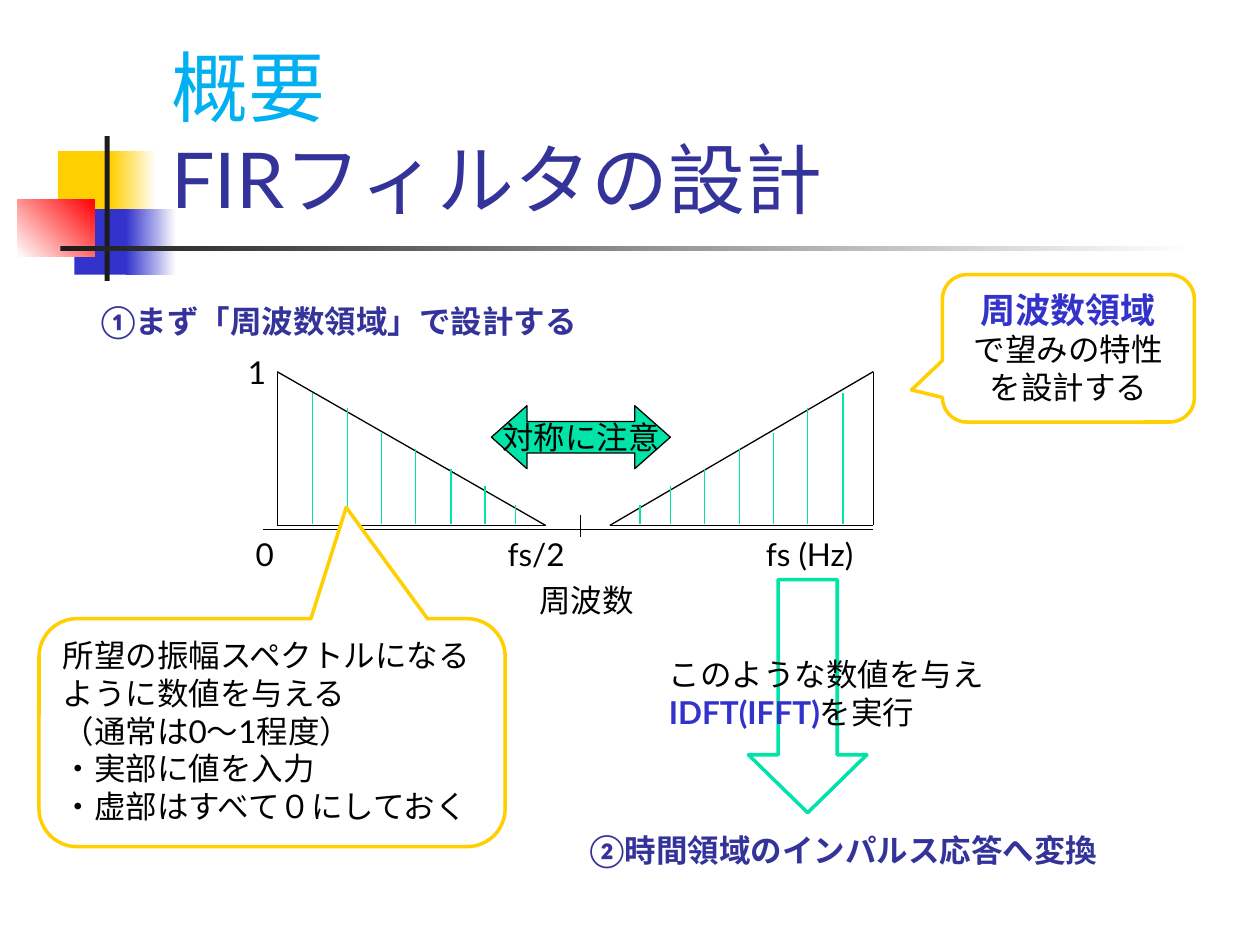
from dataclasses import dataclass

from lxml import etree
from pptx import Presentation
from pptx.dml.color import RGBColor
from pptx.enum.shapes import MSO_CONNECTOR, MSO_SHAPE
from pptx.enum.text import MSO_ANCHOR, PP_ALIGN
from pptx.oxml.ns import qn
from pptx.util import Inches, Pt

RECT = MSO_SHAPE.RECTANGLE
CALLOUT = MSO_SHAPE.ROUNDED_RECTANGULAR_CALLOUT
DOWN_ARROW = MSO_SHAPE.DOWN_ARROW
DOUBLE_ARROW = MSO_SHAPE.LEFT_RIGHT_ARROW
STRAIGHT = MSO_CONNECTOR.STRAIGHT
LEFT, CENTER = PP_ALIGN.LEFT, PP_ALIGN.CENTER
TOP, MIDDLE, BOTTOM = MSO_ANCHOR.TOP, MSO_ANCHOR.MIDDLE, MSO_ANCHOR.BOTTOM


@dataclass(frozen=True)
class Theme:
    font: str = "Lato"
    title: int = 44
    lead: int = 20
    body: int = 18
    thin: float = 0.75
    thick: float = 2
    black: str = "000000"
    white: str = "FFFFFF"
    bar: str = "1C1C1C"
    sky: str = "00B0F0"
    navy: str = "333399"
    blue: str = "3333CC"
    yellow: str = "FFCF01"
    red: str = "FF0000"
    green: str = "00E4A8"


THEME = Theme()

# Distance of each sample from the outer edge, and its top below the peak
SAMPLES = [(0.28, 0.17), (0.56, 0.29), (0.83, 0.49), (1.1, 0.61),
           (1.38, 0.77), (1.65, 0.91), (1.89, 1.06)]


def rgb(value):
    return RGBColor.from_string(value)


def write(frame, paragraphs, size=THEME.body, color=THEME.black, bold=False,
          align=LEFT, anchor=TOP, wrap=True):
    """Each paragraph is a string or a list of (text, format) runs."""
    frame.word_wrap = wrap
    frame.vertical_anchor = anchor
    for index, content in enumerate(paragraphs):
        paragraph = frame.paragraphs[0] if index == 0 else frame.add_paragraph()
        paragraph.alignment = align
        runs = [(content, {})] if isinstance(content, str) else content
        for text, style in runs:
            run = paragraph.add_run()
            run.text = text
            run.font.name = THEME.font
            run.font.size = Pt(style.get("size", size))
            run.font.bold = style.get("bold", bold)
            run.font.color.rgb = rgb(style.get("color", color))
            east_asian = etree.SubElement(run.font._element, qn("a:ea"))
            east_asian.set("typeface", THEME.font)


def add_text(slide, box, paragraphs, **style):
    label = slide.shapes.add_textbox(*map(Inches, box))
    write(label.text_frame, paragraphs, **style)


def add_shape(slide, kind, box, fill, line=None, width=THEME.thin, adjust=()):
    shape = slide.shapes.add_shape(kind, *map(Inches, box))
    shape.shadow.inherit = False
    for index, value in enumerate(adjust):
        shape.adjustments[index] = value
    if isinstance(fill, tuple):
        start, end, angle = fill
        shape.fill.gradient()
        shape.fill.gradient_angle = angle
        for stop, color in zip(shape.fill.gradient_stops, (start, end)):
            stop.color.rgb = rgb(color)
    else:
        shape.fill.solid()
        shape.fill.fore_color.rgb = rgb(fill)
    if line:
        shape.line.color.rgb = rgb(line)
        shape.line.width = Pt(width)
    else:
        shape.line.fill.background()
    return shape


def add_line(slide, x1, y1, x2, y2, color=THEME.black):
    line = slide.shapes.add_connector(STRAIGHT, *map(Inches, (x1, y1, x2, y2)))
    line.line.color.rgb = rgb(color)
    line.line.width = Pt(THEME.thin)
    etree.SubElement(line._element.spPr, qn("a:effectLst"))


def add_callout(slide, box, pointer, paragraphs, **style):
    bubble = add_shape(slide, CALLOUT, box, THEME.white, THEME.yellow,
                       THEME.thick, (*pointer, 0.167))
    write(bubble.text_frame, paragraphs, **style)


def draw_ornament(slide, left, top):
    """Overlapping squares crossed by two bars."""
    t = THEME
    parts = [
        (0.32, 0.12, 0.48, 0.52, t.yellow),
        (0.74, 0.12, 0.36, 0.52, (t.yellow, t.white, 0)),
        (0.45, 0.58, 0.46, 0.52, t.blue),
        (0.86, 0.58, 0.4, 0.52, (t.blue, t.white, 0)),
        (0, 0.5, 0.61, 0.46, (t.white, t.red, 45)),
        (0.69, 0, 0.04, 1.15, t.bar),
        (0.34, 0.87, 9, 0.04, (t.bar, t.white, 0)),
    ]
    for dx, dy, width, height, fill in parts:
        add_shape(slide, RECT, (left + dx, top + dy, width, height), fill)


def draw_half(slide, left, top, width, height, mirrored=False):
    """Triangular half of the spectrum with its samples."""
    outer, inner = (left + width, left) if mirrored else (left, left + width)
    base = top + height
    add_line(slide, outer, top, inner, base)
    add_line(slide, outer, base, inner, base)
    add_line(slide, outer, top, outer, base)
    for offset, drop in SAMPLES:
        x = outer - offset + 0.04 if mirrored else outer + offset
        add_line(slide, x, top + drop, x, base - 0.01, THEME.green)


def draw_spectrum(slide, left, top, width, height):
    """Frequency axis, its labels and the two symmetric halves."""
    axis, right = top + height, left + width
    add_line(slide, left, axis, right, axis)
    add_line(slide, left + 2.52, axis - 0.11, left + 2.52, axis + 0.06)
    for text, dx, label_width in (("0", -0.16, 0.5), ("fs/2", 1.84, 0.9),
                                  ("fs (Hz)", 3.89, 1.2)):
        add_text(slide, (left + dx, axis, label_width, 0.4), [text])
    add_text(slide, (left - 0.22, top - 0.2, 0.34, 0.4), ["1"], wrap=False)
    add_text(slide, (left + 2.09, axis + 0.36, 0.95, 0.4), ["周波数"], wrap=False)

    draw_half(slide, left + 0.11, top, 2.13, height - 0.03)
    draw_half(slide, right - 2.09, top, 2.09, height - 0.03, mirrored=True)

    symmetry = add_shape(slide, DOUBLE_ARROW, (left + 1.81, top + 0.27, 1.42, 0.5),
                         THEME.green, THEME.black, adjust=(0.5, 0.564))
    write(symmetry.text_frame, ["対称に注意"], align=CENTER, anchor=MIDDLE, wrap=False)


def add_step(slide, left, top, width, text):
    """One-line heading of a design step."""
    add_text(slide, (left, top, width, 0.4), [text], color=THEME.navy, bold=True)


def draw_conversion(slide, left, top):
    """Arrow from the spectrum to the impulse response."""
    add_shape(slide, DOWN_ARROW, (left + 1.36, top, 0.94, 1.85), THEME.white,
              THEME.green, THEME.thick, (0.5, 0.489))
    add_text(slide, (left + 0.63, top + 0.55, 2.7, 0.7), [
        "このような数値を与え",
        [("IDFT(IFFT)", {"color": THEME.blue, "bold": True}), ("を実行", {})],
    ], wrap=False)
    add_step(slide, left, top + 1.95, 4.6, "②時間領域のインパルス応答へ変換")


def build_slide(slide):
    # Heading
    draw_ornament(slide, 0.14, 1.08)
    add_text(slide, (1.26, 0.23, 8.52, 1.6),
             [[("概要", {"color": THEME.sky})], "FIRフィルタの設計"],
             size=THEME.title, color=THEME.navy, anchor=BOTTOM)

    # Step 1: frequency domain
    add_step(slide, 0.7, 2.35, 4.4, "①まず「周波数領域」で設計する")
    draw_spectrum(slide, 2.09, 2.95, 4.84, 1.25)

    # Step 2: time domain
    draw_conversion(slide, 4.58, 4.6)

    # Explanations
    add_callout(slide, (7.48, 2.18, 2, 1.17), (-0.623, 0.282), [
        [("周波数領域", {"size": THEME.lead, "color": THEME.blue, "bold": True})],
        "で望みの特性を設計する",
    ], align=CENTER)
    add_callout(slide, (0.31, 4.91, 3.7, 1.81), (0.159, -0.988), [
        "所望の振幅スペクトルになるように数値を与える",
        "（通常は0～1程度）",
        "・実部に値を入力",
        "・虚部はすべて０にしておく",
    ])


def main():
    deck = Presentation()
    deck.slide_width, deck.slide_height = Inches(10), Inches(7.5)
    build_slide(deck.slides.add_slide(deck.slide_layouts[6]))
    deck.save("out.pptx")


if __name__ == "__main__":
    main()
